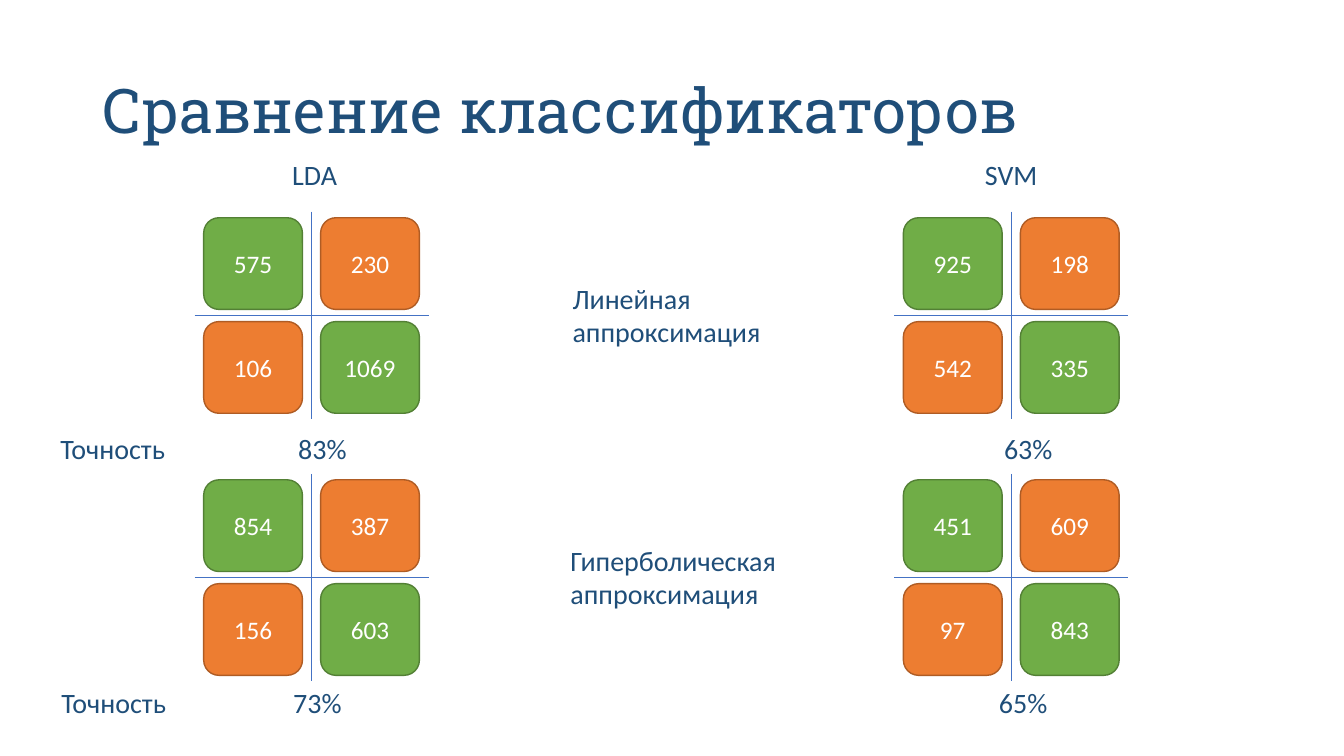
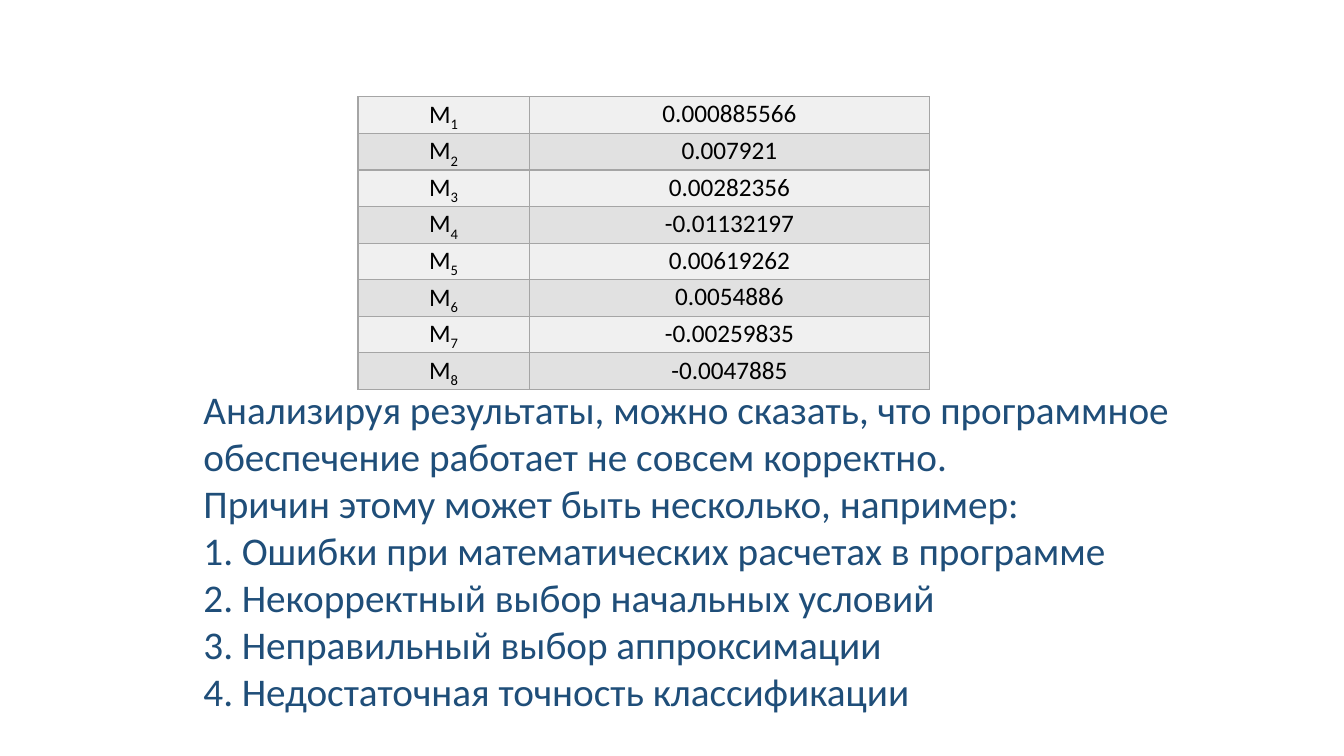
import pptx
import pptx.util
import pptx.dml.color
import pptx.enum.shapes
import pptx.enum.text
import pptx.oxml.ns
import lxml.etree

Inches = pptx.util.Inches
Pt = pptx.util.Pt
RGBColor = pptx.dml.color.RGBColor
ALIGN = pptx.enum.text.PP_ALIGN
ANCHOR = pptx.enum.text.MSO_ANCHOR
qn = pptx.oxml.ns.qn

# Shared colours and fonts
NAVY = RGBColor(0x1F, 0x4E, 0x79)
WHITE = RGBColor(0xFF, 0xFF, 0xFF)
BLACK = RGBColor(0x00, 0x00, 0x00)
AXIS_BLUE = RGBColor(0x44, 0x72, 0xC4)
GREEN = RGBColor(0x70, 0xAD, 0x47)
GREEN_EDGE = RGBColor(0x53, 0x80, 0x35)
ORANGE = RGBColor(0xED, 0x7D, 0x31)
ORANGE_EDGE = RGBColor(0xAF, 0x5C, 0x24)
ROW_FILLS = [RGBColor(0xF0, 0xF0, 0xF0), RGBColor(0xE1, 0xE1, 0xE1)]
BORDER_GRAY = "A5A5A5"
BODY_FONT = "Calibri"
TITLE_FONT = "Roboto Slab"


def write(paragraph, text, size, color=NAVY, font=BODY_FONT):
    """Add a formatted run to a paragraph and return it."""
    run = paragraph.add_run()
    run.text = text
    for name, value in {"size": Pt(size), "name": font}.items():
        setattr(run.font, name, value)
    run.font.color.rgb = color
    return run


def add_text(slide, box, lines, size, font=BODY_FONT, anchor=ANCHOR.TOP):
    """Add a wrapping text box with one paragraph per line."""
    frame = slide.shapes.add_textbox(*map(Inches, box)).text_frame
    for name, value in {"word_wrap": True, "vertical_anchor": anchor}.items():
        setattr(frame, name, value)
    for index, line in enumerate(lines):
        paragraph = frame.add_paragraph() if index else frame.paragraphs[0]
        write(paragraph, line, size, font=font)
    return frame


presentation = pptx.Presentation()
presentation.slide_width = Inches(13.33)
presentation.slide_height = Inches(7.5)
blank = presentation.slide_layouts[6]

# Slide 1: classifier comparison
slide = presentation.slides.add_slide(blank)
title = add_text(slide, (0.92, 0.4, 11.5, 1.45), ["Сравнение классификаторов"],
                 44, TITLE_FONT, ANCHOR.MIDDLE)
title.paragraphs[0].line_spacing = 0.9

# Confusion matrices: centre, then values row by row
matrices = [
    (3.09, 3.13, [575, 230, 106, 1069]),
    (10.03, 3.13, [925, 198, 542, 335]),
    (3.09, 5.73, [854, 387, 156, 603]),
    (10.03, 5.73, [451, 609, 97, 843]),
]
for center_x, center_y, values in matrices:
    for half_width, half_height in [(0, 1.03), (1.16, 0)]:
        axis = slide.shapes.add_connector(
            pptx.enum.shapes.MSO_CONNECTOR.STRAIGHT,
            Inches(center_x - half_width), Inches(center_y - half_height),
            Inches(center_x + half_width), Inches(center_y + half_height))
        axis.line.color.rgb = AXIS_BLUE
        axis.line.width = Pt(0.5)
        lxml.etree.SubElement(axis._element.spPr, qn("a:effectLst"))
    for index, value in enumerate(values):
        row, column = divmod(index, 2)
        correct = row == column
        shape = slide.shapes.add_shape(
            pptx.enum.shapes.MSO_SHAPE.ROUNDED_RECTANGLE,
            Inches(center_x + (-1.07, 0.09)[column]),
            Inches(center_y + (-0.97, 0.06)[row]), Inches(0.98), Inches(0.91))
        shape.shadow.inherit = False
        shape.fill.solid()
        shape.fill.fore_color.rgb = GREEN if correct else ORANGE
        shape.line.color.rgb = GREEN_EDGE if correct else ORANGE_EDGE
        shape.line.width = Pt(1)
        shape.text_frame.vertical_anchor = ANCHOR.MIDDLE
        paragraph = shape.text_frame.paragraphs[0]
        paragraph.alignment = ALIGN.CENTER
        write(paragraph, str(value), 18, WHITE)

# Captions of columns, rows and accuracy
captions = [
    (2.8, 1.51, 1.44, "LDA"),
    (9.67, 1.51, 1.44, "SVM"),
    (5.58, 2.74, 2.18, "Линейная аппроксимация"),
    (5.56, 5.34, 2.27, "Гиперболическая аппроксимация"),
    (0.5, 4.23, 1.5, "Точность"),
    (2.86, 4.23, 1, "83%"),
    (9.86, 4.23, 1, "63%"),
    (0.51, 6.75, 1.5, "Точность"),
    (2.81, 6.75, 1, "73%"),
    (9.81, 6.75, 1, "65%"),
]
for left, top, width, text in captions:
    add_text(slide, (left, top, width, 0.44), [text], 20)

# Slide 2: moments table
slide = presentation.slides.add_slide(blank)
moments = ["0.000885566", "0.007921", "0.00282356", "-0.01132197",
           "0.00619262", "0.0054886", "-0.00259835", "-0.0047885"]
row_height = 0.36
table = slide.shapes.add_table(
    len(moments), 2, Inches(3.55), Inches(0.96), Inches(5.67),
    Inches(row_height * len(moments))).table
for name in ("first_row", "horz_banding"):
    setattr(table, name, False)
for column, width in zip(table.columns, (1.7, 3.97)):
    column.width = Inches(width)

cell_format = {
    "margin_left": Inches(0.05), "margin_right": Inches(0.05),
    "margin_top": 0, "margin_bottom": 0,
}
for index, moment in enumerate(moments):
    for column, text in enumerate(("M", moment)):
        cell = table.cell(index, column)
        for name, value in cell_format.items():
            setattr(cell, name, value)
        paragraph = cell.text_frame.paragraphs[0]
        paragraph.alignment = ALIGN.CENTER
        paragraph.line_spacing = 1.07
        write(paragraph, text, 18, BLACK)
        if column == 0:
            subscript = write(paragraph, str(index + 1), 18, BLACK)
            subscript.font._element.set("baseline", "-25000")
        properties = cell._tc.get_or_add_tcPr()
        for side in ("a:lnL", "a:lnR", "a:lnT", "a:lnB"):
            border = lxml.etree.SubElement(properties, qn(side), w=str(Pt(1)))
            fill = lxml.etree.SubElement(border, qn("a:solidFill"))
            lxml.etree.SubElement(fill, qn("a:srgbClr"), val=BORDER_GRAY)
        cell.fill.solid()
        cell.fill.fore_color.rgb = ROW_FILLS[index % 2]

# Conclusions with a numbered list of reasons
introduction = [
    "Анализируя результаты, можно сказать, что программное обеспечение "
    "работает не совсем корректно.",
    "Причин этому может быть несколько, например:",
]
reasons = [
    "Ошибки при математических расчетах в программе",
    "Некорректный выбор начальных условий",
    "Неправильный выбор аппроксимации",
    "Недостаточная точность классификации",
]
conclusions = add_text(slide, (1.92, 3.77, 10.33, 3.4), introduction + reasons, 28)
for paragraph in conclusions.paragraphs[len(introduction):]:
    properties = paragraph._p.get_or_add_pPr()
    for name, value in {"marL": Inches(0.38), "indent": -Inches(0.38)}.items():
        properties.set(name, str(value))
    lxml.etree.SubElement(properties, qn("a:buFont"), typeface="+mj-lt")
    lxml.etree.SubElement(properties, qn("a:buAutoNum"), type="arabicPeriod")

presentation.save("out.pptx")
